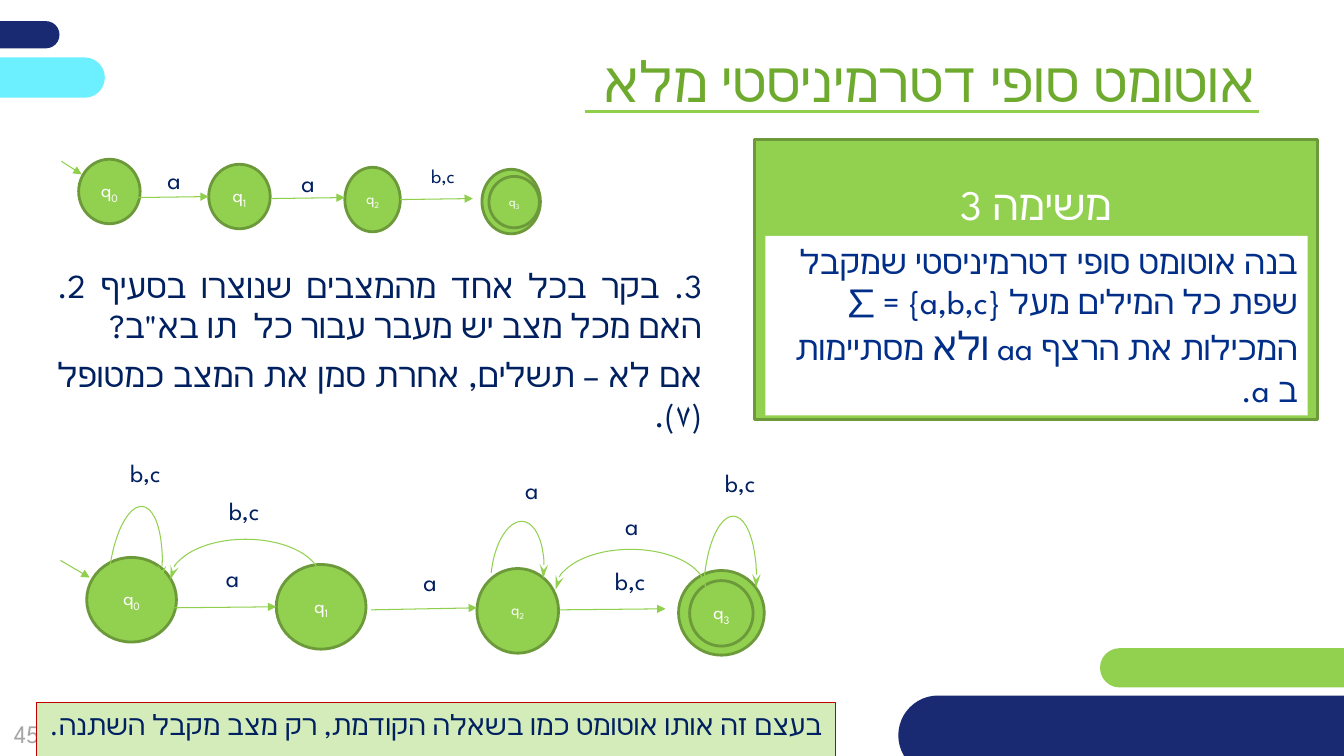
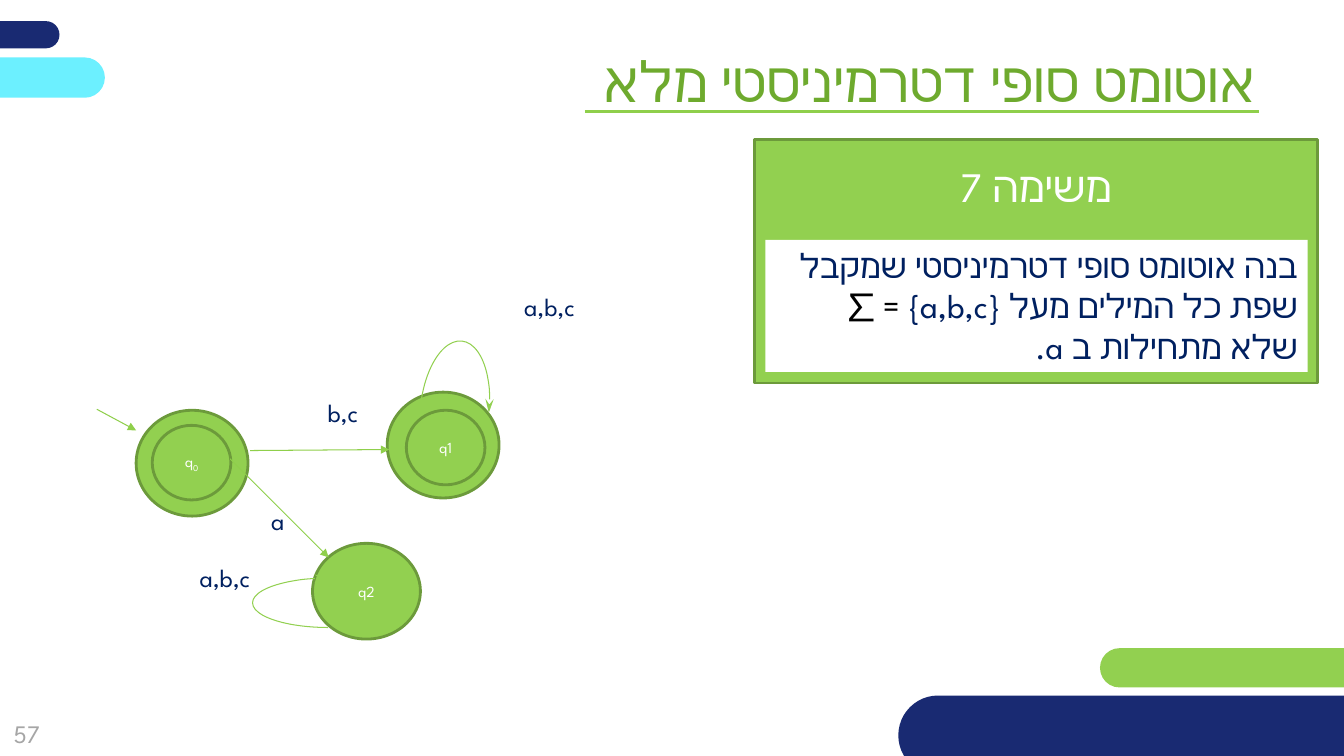
from dataclasses import dataclass
from typing import NamedTuple

from pptx import Presentation
from pptx import util as u
from pptx.dml.color import RGBColor
from pptx.enum import shapes, text
from pptx.oxml.ns import qn

# Shared style; one px is a hundredth of an inch
EMU_PER_PX = 9144
FONT = "League Spartan"
NAVY = RGBColor(0x19, 0x2A, 0x72)
CYAN = RGBColor(0x6C, 0xF0, 0xFF)
GREEN = RGBColor(0x92, 0xD0, 0x50)
PALE_GREEN = RGBColor(0xD3, 0xEC, 0xB9)
LINE_GREEN = RGBColor(0x8F, 0xCF, 0x4B)
DARK_GREEN = RGBColor(0x6C, 0x9A, 0x3B)
TITLE_GREEN = RGBColor(0x6E, 0xAA, 0x2E)
INK = RGBColor(0x00, 0x20, 0x60)
BLUE = RGBColor(0x00, 0x2E, 0x89)
GREY = RGBColor(0xA6, 0xA6, 0xA6)
RED = RGBColor(0xC0, 0x00, 0x00)
BLACK = RGBColor(0, 0, 0)
WHITE = RGBColor(0xFF, 0xFF, 0xFF)

TITLE = "אוטומט סופי דטרמיניסטי מלא"
Align = text.PP_ALIGN
Anchor = text.MSO_ANCHOR
Preset = shapes.MSO_SHAPE


class Box(NamedTuple):
    x: int
    y: int
    w: int
    h: int


class Span(NamedTuple):
    words: str
    size: int
    color: RGBColor = INK
    subscript: bool = False


class Line(NamedTuple):
    x1: int
    y1: int
    x2: int
    y2: int


class Label(NamedTuple):
    words: str
    box: Box
    size: int = 18


@dataclass
class State:
    box: Box
    name: str
    index: str = ""
    size: int = 14
    ring: Box | None = None  # inner circle of an accepting state


@dataclass
class Arc:
    """Upper half of an ellipse, turned around its centre."""
    x: int
    y: int
    span: int
    rise: int
    turn: int = 0
    arrow: str = "tailEnd"


@dataclass
class Automaton:
    states: list[State]
    arrows: list[Line]
    labels: list[Label]
    arcs: list[Arc]


BANDS = [
    (Box(-266, 21, 325, 27), NAVY),
    (Box(1091, 643, 521, 39), GREEN),
    (Box(-221, 57, 325, 40), CYAN),
    (Box(891, 690, 566, 79), NAVY),
]

# Automata
CHAIN = Automaton(
    states=[
        State(Box(78, 158, 61, 64), "q", "0"),
        State(Box(207, 163, 61, 64), "q", "1"),
        State(Box(342, 166, 55, 64), "q", "2", 11),
        State(Box(478, 168, 58, 64), "q", "3", 9, Box(485, 175, 50, 51)),
    ],
    arrows=[Line(61, 160, 81, 173), Line(135, 196, 207, 195),
            Line(270, 197, 342, 196), Line(397, 198, 469, 197)],
    labels=[Label("a", Box(160, 158, 29, 37)), Label("a", Box(284, 161, 38, 37)),
            Label("b,c", Box(393, 158, 68, 34), 14)],
    arcs=[],
)
COMPLETE = Automaton(
    states=[
        State(Box(86, 553, 89, 84), "q", "0"),
        State(Box(274, 560, 89, 84), "q", "1"),
        State(Box(473, 564, 81, 84), "q", "2", 11),
        State(Box(673, 566, 85, 84), "q", "3", 14, Box(684, 576, 63, 65)),
    ],
    arrows=[Line(60, 556, 89, 573), Line(169, 603, 274, 602),
            Line(368, 605, 473, 603), Line(555, 605, 660, 604)],
    labels=[
        Label("a", Box(205, 553, 42, 48)), Label("a", Box(387, 557, 56, 48)),
        Label("b,c", Box(581, 556, 69, 48)), Label("b,c", Box(97, 449, 72, 48)),
        Label("b,c", Box(195, 486, 72, 48)), Label("a", Box(468, 466, 76, 48)),
        Label("b,c", Box(687, 459, 72, 48)), Label("a", Box(567, 501, 76, 48)),
    ],
    arcs=[Arc(134, 572, 52, 70, 6), Arc(513, 571, 52, 54, 6), Arc(724, 582, 52, 70, 3),
          Arc(243, 575, 149, 40, arrow="headEnd"), Arc(625, 585, 149, 40, arrow="headEnd")],
)
FIRST_LETTER = Automaton(
    states=[
        State(Box(135, 407, 111, 105), "q", "0", 11, Box(151, 422, 78, 74)),
        State(Box(384, 389, 111, 105), "q1", size=11, ring=Box(403, 407, 78, 74)),
        State(Box(310, 539, 107, 95), "q2", size=11),
    ],
    arrows=[Line(96, 406, 135, 427), Line(248, 447, 386, 446), Line(228, 455, 326, 553)],
    labels=[Label("a", Box(237, 496, 55, 60)), Label("a,b,c", Box(96, 553, 162, 60)),
            Label("b,c", Box(203, 389, 162, 60)), Label("a,b,c", Box(418, 284, 162, 60))],
    arcs=[Arc(451, 406, 68, 68, 6), Arc(325, 598, 49, 75, 270)],
)


def px(length: int) -> u.Emu:
    return u.Emu(length * EMU_PER_PX)


def write(shape, paragraphs: list[list[Span]], align, anchor=Anchor.TOP,
          rtl: bool = True, space_after: int = 0) -> None:
    frame = shape.text_frame
    frame.word_wrap = True
    frame.auto_size = text.MSO_AUTO_SIZE.NONE
    frame.vertical_anchor = anchor
    for number, spans in enumerate(paragraphs):
        para = frame.add_paragraph() if number else frame.paragraphs[0]
        para.alignment = align
        para.space_after = u.Pt(space_after)
        if rtl:
            para._p.get_or_add_pPr().set("rtl", "1")
        for span in spans:
            run = para.add_run()
            run.text = span.words
            run.font.name = FONT
            run.font.size = u.Pt(span.size)
            run.font.color.rgb = span.color
            props = run.font._element
            props.append(props.makeelement(qn("a:cs"), {"typeface": FONT}))
            if span.subscript:
                props.set("baseline", "-25000")


def add_preset(page, preset, box: Box, fill: RGBColor | None,
               line: RGBColor | None = None, width: float = 2):
    shape = page.shapes.add_shape(preset, *map(px, box))
    shape.shadow.inherit = False
    if fill is None:
        shape.fill.background()
    else:
        shape.fill.solid()
        shape.fill.fore_color.rgb = fill
    if line is None:
        shape.line.fill.background()
    else:
        shape.line.color.rgb = line
        shape.line.width = u.Pt(width)
    return shape


def add_text(page, box: Box, paragraphs: list[list[Span]], align, **options) -> None:
    write(page.shapes.add_textbox(*map(px, box)), paragraphs, align, **options)


def add_arrowhead(shape, end: str, kind: str, length: str = "med") -> None:
    outline = shape.line._get_or_add_ln()
    outline.append(outline.makeelement(qn(f"a:{end}"), {"type": kind, "len": length}))


def add_line(page, line: Line, width: float = 0.75):
    connector = page.shapes.add_connector(shapes.MSO_CONNECTOR.STRAIGHT, *map(px, line))
    connector.line.color.rgb = LINE_GREEN
    connector.line.width = u.Pt(width)
    props = connector._element.spPr
    props.append(props.makeelement(qn("a:effectLst"), {}))
    return connector


def add_state(page, state: State) -> None:
    circle = add_preset(page, Preset.OVAL, state.box, GREEN, DARK_GREEN)
    if state.ring:
        circle = add_preset(page, Preset.OVAL, state.ring, GREEN, DARK_GREEN)
    spans = [Span(state.name, state.size, WHITE)]
    if state.index:
        spans.append(Span(state.index, state.size, WHITE, True))
    write(circle, [spans], Align.CENTER, Anchor.MIDDLE)
    frame = circle.text_frame
    frame.word_wrap = False
    frame.margin_left = frame.margin_right = frame.margin_top = frame.margin_bottom = 0


def add_arc(page, arc: Arc) -> None:
    box = Box(arc.x - arc.span // 2, arc.y - arc.rise, arc.span, 2 * arc.rise)
    shape = add_preset(page, Preset.ARC, box, None, GREEN, 0.75)
    shape.adjustments[0] = 108  # 180 degrees, in units of 100000 / 60000
    shape.adjustments[1] = 0
    shape.rotation = arc.turn
    add_arrowhead(shape, arc.arrow, "stealth", "lg")


def add_automaton(page, automaton: Automaton) -> None:
    for state in automaton.states:
        add_state(page, state)
    for arrow in automaton.arrows:
        add_arrowhead(add_line(page, arrow), "tailEnd", "triangle")
    for arc in automaton.arcs:
        add_arc(page, arc)
    for label in automaton.labels:
        add_text(page, label.box, [[Span(label.words, label.size)]], Align.RIGHT)


def add_page(deck, number: str):
    """Start a slide with the bands, page number and underlined title."""
    page = deck.slides.add_slide(deck.slide_layouts[5])
    for box, color in BANDS:
        add_preset(page, Preset.ROUNDED_RECTANGLE, box, color).adjustments[0] = 0.5
    add_text(page, Box(-18, 699, 89, 57), [[Span(number, 18, GREY)]], Align.CENTER,
             anchor=Anchor.MIDDLE, rtl=False)
    add_line(page, Line(580, 111, 1249, 111), 2.25)
    title = page.shapes.title
    title.left, title.top, title.width, title.height = map(px, Box(440, 41, 816, 77))
    write(title, [[Span(TITLE, 40, TITLE_GREEN)]], Align.RIGHT)
    return page


def add_task(page, heading: str, height: int, inner: Box, spans: list[Span]) -> None:
    card = add_preset(page, Preset.RECTANGLE, Box(748, 138, 559, height), GREEN, DARK_GREEN)
    write(card, [[Span(heading, 30, WHITE)]], Align.CENTER)
    card.text_frame.margin_top = px(height // 2 - 100)
    write(add_preset(page, Preset.RECTANGLE, inner, WHITE), [spans], Align.RIGHT)


def build_task_3(deck) -> None:
    page = add_page(deck, "45")
    add_task(page, "משימה 3", 278, Box(759, 234, 538, 178), [
        Span("בנה אוטומט סופי דטרמיניסטי שמקבל שפת כל המילים מעל {a,b,c} = ∑ "
             "המכילות את הרצף aa ", 24, BLUE),
        Span("ולא", 28, BLUE),
        Span(" מסתיימות ב a.", 24, BLUE),
    ])
    add_text(page, Box(47, 258, 659, 180), [
        [Span("3. בקר בכל אחד מהמצבים שנוצרו בסעיף 2. "
              "האם מכל מצב יש מעבר עבור כל  תו בא\"ב? ", 24)],
        [Span("אם לא – תשלים, אחרת סמן את המצב כמטופל (٧).", 24)],
    ], Align.JUSTIFY, space_after=6)
    note = add_preset(page, Preset.RECTANGLE, Box(36, 697, 793, 77), PALE_GREEN, RED, 0.75)
    write(note, [[Span("בעצם זה אותו אוטומט כמו בשאלה הקודמת, רק מצב מקבל השתנה.", 20)]],
          Align.CENTER)
    add_automaton(page, CHAIN)
    add_automaton(page, COMPLETE)


def build_task_7(deck) -> None:
    page = add_page(deck, "57")
    add_task(page, "משימה 7", 242, Box(759, 238, 538, 131), [
        Span("בנה אוטומט סופי דטרמיניסטי שמקבל שפת כל המילים מעל {a,b,c} ", 24),
        Span("= ∑", 24, BLACK),
        Span(" שלא מתחילות ב a.", 24),
    ])
    add_automaton(page, FIRST_LETTER)


def main() -> None:
    deck = Presentation()
    deck.slide_width, deck.slide_height = u.Inches(13.33), u.Inches(7.5)
    build_task_3(deck)
    build_task_7(deck)
    deck.save("out.pptx")


if __name__ == "__main__":
    main()
